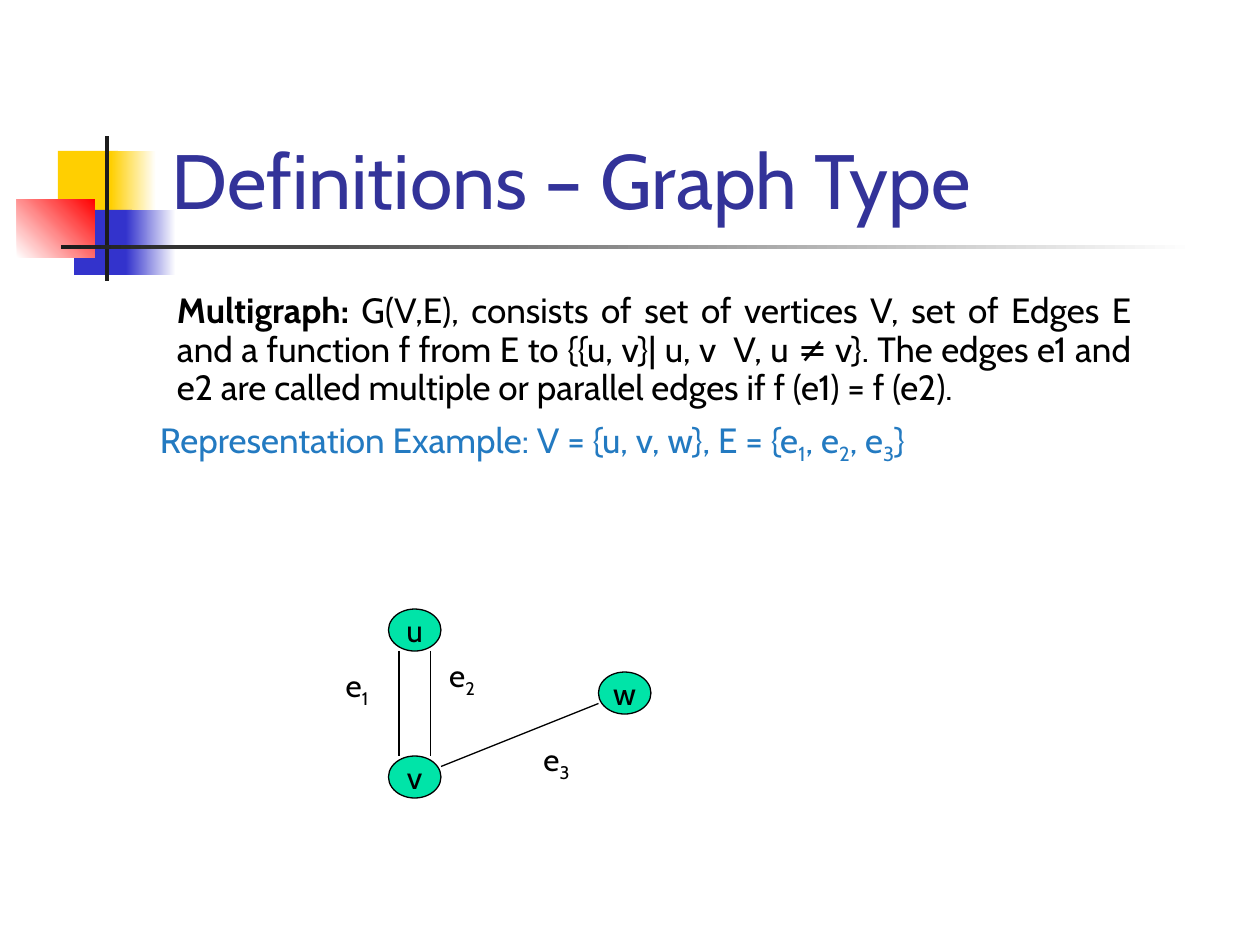
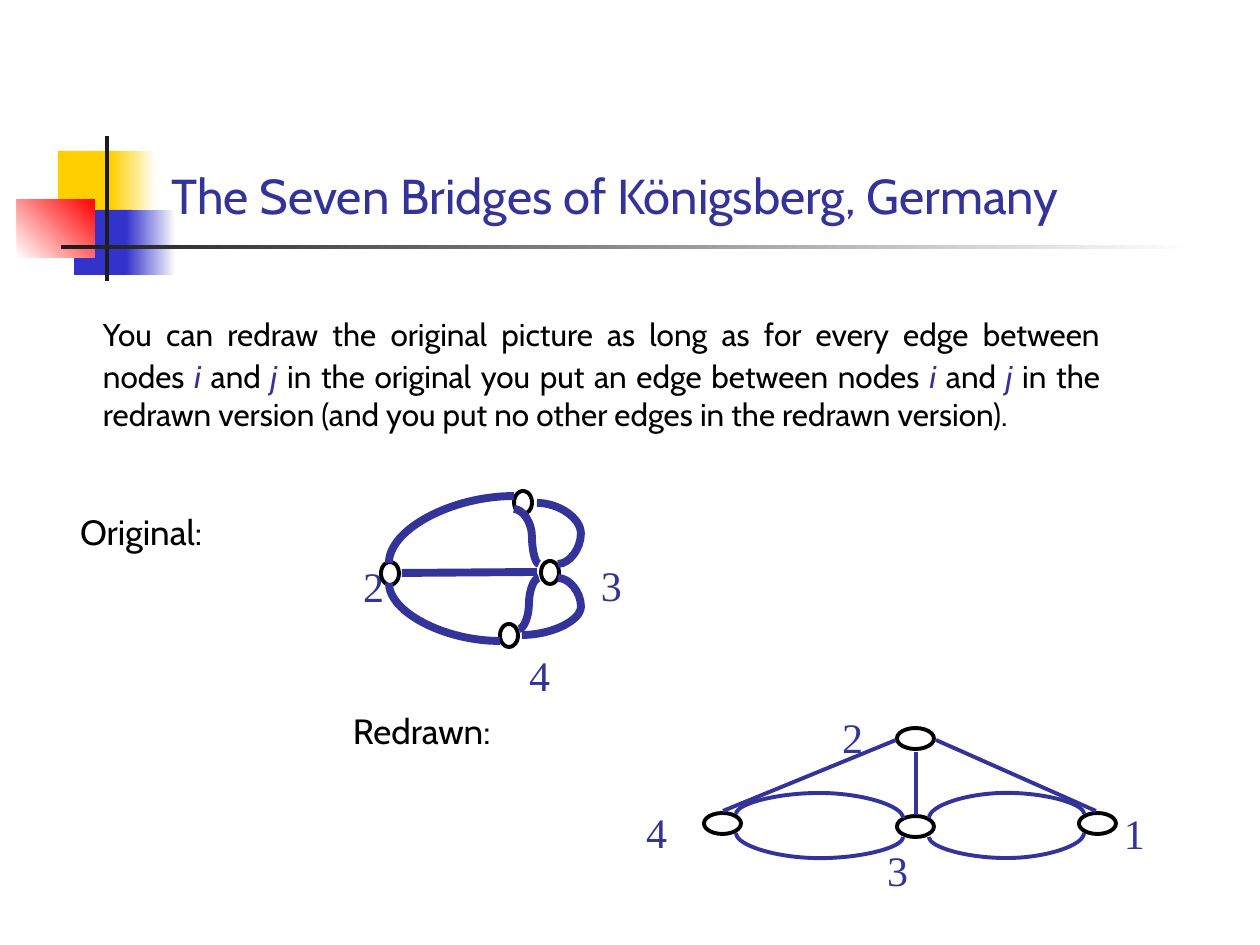
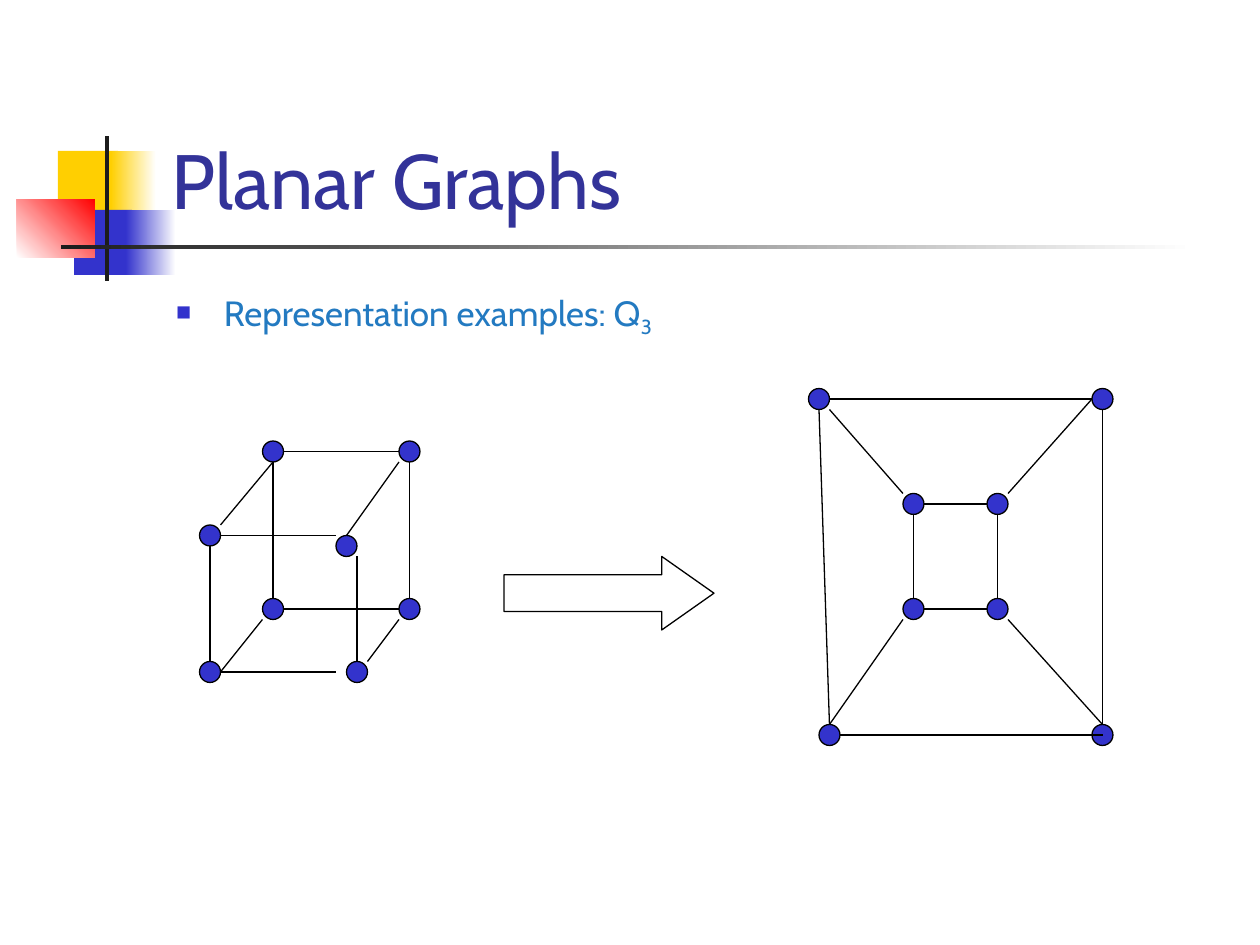
from dataclasses import dataclass
from typing import Any

from lxml import etree
from pptx import Presentation
from pptx import util as u
from pptx.dml.color import RGBColor
from pptx.enum import shapes as kinds, text as t
from pptx.oxml import ns

PX = 914400 / 126
GRID = 10.5
FONT, DIGIT_FONT = "Cabin", "Times New Roman"
NAVY, BLUE, SKY = "333399", "3333CC", "237AC1"
GREEN, YELLOW, RED = "00E4A8", "FFCF01", "FF0000"
BLACK, INK, WHITE = "000000", "1C1C1C", "FFFFFF"
SHAPE, LINK = kinds.MSO_SHAPE, kinds.MSO_CONNECTOR


def px(value):
    """Turn px into EMU."""
    return u.Emu(round(value * PX))


def rgb(code):
    """Turn a hex string into a colour."""
    return RGBColor.from_string(code)


def add_element(parent, tag, **attributes):
    """Append a drawing element with attributes."""
    child = etree.SubElement(parent, ns.qn(tag))
    for name, value in attributes.items():
        child.set(name, value)
    return child


def write(para, content, size=20, color=BLACK, font=FONT, bold=False,
          italic=False, sub=False, marked=None):
    """Write text; parts between asterisks also take the marked format."""
    plain = dict(size=size, color=color, font=font, bold=bold, italic=italic, sub=sub)
    for index, part in enumerate(content.split("*")):
        if not part:
            continue
        style = {**plain, **(marked or {})} if index % 2 else plain
        span = para.add_run()
        span.text = part
        span.font.size = u.Pt(style["size"])
        span.font.name = style["font"]
        span.font.bold, span.font.italic = style["bold"], style["italic"]
        span.font.color.rgb = rgb(style["color"])
        if style["sub"]:
            span._r.get_or_add_rPr().set("baseline", "-25000")


def indent(para, left, first=0):
    """Set the left margin and first-line indent of a paragraph."""
    properties = para._p.get_or_add_pPr()
    properties.set("marL", str(px(left)))
    properties.set("indent", str(px(first)))
    return properties


@dataclass
class Region:
    """A part of a slide whose contents are placed from its top left corner."""
    shapes: Any
    left: float = 0
    top: float = 0
    step: float = 1

    def at(self, x, y):
        """Turn a point of the region into slide EMU."""
        return px((self.left + x) * self.step), px((self.top + y) * self.step)

    def shape(self, kind, x, y, width, height, fill=None, line=None, weight=0.75):
        """Add a preset shape; a pair of fills makes a gradient."""
        shape = self.shapes.add_shape(kind, *self.at(x, y), px(width * self.step),
                                      px(height * self.step))
        shape.shadow.inherit = False
        if isinstance(fill, tuple):
            shape.fill.gradient()
            for stop, color in zip(shape.fill.gradient_stops, fill):
                stop.color.rgb = rgb(color)
            shape.fill.gradient_angle = 0
        elif fill:
            shape.fill.solid()
            shape.fill.fore_color.rgb = rgb(fill)
        else:
            shape.fill.background()
        if line:
            shape.line.color.rgb = rgb(line)
            shape.line.width = u.Pt(weight)
        else:
            shape.line.fill.background()
        return shape

    def caption(self, shape, content):
        """Centre a short caption with subscripts in a shape."""
        frame = shape.text_frame
        frame.word_wrap = False
        frame.vertical_anchor = t.MSO_ANCHOR.MIDDLE
        frame.paragraphs[0].alignment = t.PP_ALIGN.CENTER
        write(frame.paragraphs[0], content, size=18, marked={"sub": True})

    def text(self, x, y, width, height, inset=13, wrap=True):
        """Add an empty text box and return its frame."""
        box = self.shapes.add_textbox(*self.at(x, y), px(width), px(height))
        frame = box.text_frame
        frame.word_wrap = wrap
        frame.margin_left = frame.margin_right = px(inset)
        return frame

    def digit(self, content, x, y):
        """Label a node with a number."""
        frame = self.text(x, y, 97, 63, inset=38, wrap=False)
        write(frame.paragraphs[0], content, size=24, color=NAVY, font=DIGIT_FONT)

    def heading(self, content, x, y, width):
        """Name a drawing."""
        write(self.text(x, y, width, 54, inset=38).paragraphs[0], content)

    def line(self, start, end, color=BLACK, weight=0.75, kind=LINK.STRAIGHT):
        """Join two points."""
        link = self.shapes.add_connector(kind, *self.at(*start), *self.at(*end))
        link.line.color.rgb = rgb(color)
        link.line.width = u.Pt(weight)
        add_element(link.element.spPr, "a:effectLst")
        return link

    def curve(self, start, end, middle=None, upright=False, weight=2.25):
        """Join two points by a curve through a middle x, or a middle y if upright."""
        axis = 1 if upright else 0
        ends = start, end
        if upright:
            cx, cy = ((a + b) / 2 for a, b in zip(*ends))
            ends = [(cx + y - cy, cy - x + cx) for x, y in ends]
        link = self.line(*ends, color=NAVY, weight=weight, kind=LINK.CURVE)
        shape = link.element.spPr
        if upright:
            shape.find(ns.qn("a:xfrm")).set("rot", "5400000")
        outline = shape.find(ns.qn("a:prstGeom"))
        if middle is None:
            outline.set("prst", "curvedConnector2")
            return
        share = (middle - start[axis]) / (end[axis] - start[axis])
        guides = outline.find(ns.qn("a:avLst"))
        if guides is None:
            guides = add_element(outline, "a:avLst")
        add_element(guides, "a:gd", name="adj1", fmla=f"val {round(share * 100000)}")


def decorate(layout, page):
    """Draw the coloured squares and rules and keep them in the layout."""
    region = Region(page.shapes, 17, 136)
    parts = [
        (41, 15, 60, 66, YELLOW),
        (94, 15, 45, 66, (YELLOW, WHITE)),
        (57, 74, 58, 65, BLUE),
        (109, 74, 50, 65, (BLUE, WHITE)),
        (0, 63, 78, 59, (WHITE, RED)),
        (88, 0, 4, 145, INK),
        (44, 109, 1134, 4, (INK, WHITE)),
    ]
    for index, (*place, fill) in enumerate(parts):
        square = region.shape(SHAPE.RECTANGLE, *place, fill=fill)
        if fill == (WHITE, RED):
            square.fill.gradient_angle = 45
        square.element.nvSpPr.cNvPr.set("id", str(100 + index))
        layout.shapes.element.insert(2 + index, square.element)


def add_page(deck, title, size=44):
    """Add a slide with its title."""
    page = deck.slides.add_slide(deck.slide_layouts[5])
    box = page.shapes.title
    box.left, box.top, box.width, box.height = map(px, (159, 29, 1074, 202))
    frame = box.text_frame
    frame.auto_size = t.MSO_AUTO_SIZE.NONE
    frame.vertical_anchor = t.MSO_ANCHOR.BOTTOM
    frame.paragraphs[0].alignment = t.PP_ALIGN.LEFT
    write(frame.paragraphs[0], title, size=size, color=NAVY)
    return page


def multigraph_text(region):
    """Define a multigraph."""
    frame = region.text(0, 0, 1029, 284)
    definition, example = frame.paragraphs[0], frame.add_paragraph()
    for para in (definition, example):
        para.alignment = t.PP_ALIGN.JUSTIFY
        para.line_spacing = 0.9
    indent(definition, 48, -48)
    write(definition, "\t", size=24)
    write(definition, "*Multigraph:* G(V,E), consists of set of vertices V, set of Edges E "
          "and a function f from E to {{u, v}| u, v  V, u ≠ v}. The edges e1 and e2 are "
          "called multiple or parallel edges if f (e1) = f (e2).", marked={"bold": True})
    indent(example, 31)
    example.space_before = u.Pt(6)
    write(example, "Representation Example: V = {u, v, w}, E = {e*1*, e*2*, e*3*}",
          color=SKY, marked={"sub": True})


def multigraph(region):
    """Draw three vertices joined by three edges."""
    for name, x, y in (("u", 5, 0), ("v", 5, 14), ("w", 25, 6)):
        node = region.shape(SHAPE.OVAL, x, y, 5, 4, fill=GREEN, line=BLACK)
        region.caption(node, name)
    for start, end in (((10, 15), (25, 9)), ((6, 4), (6, 14)), ((9, 4), (9, 14))):
        region.line(start, end)
    for name, x, y in (("e*1*", 0, 6), ("e*2*", 10, 5), ("e*3*", 19, 13)):
        label = region.shape(SHAPE.RECTANGLE, x, y, 4, 3, fill=WHITE, line=WHITE)
        region.caption(label, name)


def bridges_text(region):
    """Explain how a graph may be redrawn."""
    para = region.text(0, 0, 1071, 205).paragraphs[0]
    para.alignment = t.PP_ALIGN.JUSTIFY
    indent(para, 48, -48)
    write(para, "\t", size=32)
    write(para, "You can redraw the original picture as long as for every edge between nodes "
          "*i* and *j* in the original you put an edge between nodes *i* and *j* in the "
          "redrawn version (and you put no other edges in the redrawn version).",
          size=18, marked={"color": NAVY, "italic": True})


def river_graph(region):
    """Draw the bridges as they lie across the river."""
    for name, x, y in (("4", 166, 152), ("2", 0, 63), ("3", 238, 62)):
        region.digit(name, x, y)
    for x, y in ((56, 71), (175, 133), (189, 0), (216, 70)):
        region.shape(SHAPE.OVAL, x, y, 18, 23, line=BLACK, weight=2.25)
    region.line((77, 82), (212, 81), color=NAVY, weight=4.5)
    for start, end, middle in (
            ((214, 73), (189, 18), 207), ((197, 144), (233, 87), 256),
            ((233, 73), (212, 12), 256), ((189, 5), (64, 72), None),
            ((175, 150), (64, 92), None), ((214, 87), (194, 138), 204)):
        region.curve(start, end, middle, weight=4.5)


def redrawn_graph(region):
    """Draw the same bridges in a flat arrangement."""
    for x, y in ((289, 23), (96, 108), (471, 108), (289, 111)):
        region.shape(SHAPE.OVAL, x, y, 37, 21, line=BLACK, weight=2.25)
    for start, end in (((288, 35), (115, 106)), ((328, 35), (488, 106)),
                       ((308, 47), (308, 110))):
        region.line(start, end, color=NAVY, weight=2.25)
    for drop, middle in ((0, 88), (19, 153)):
        outer, inner = 109 + drop, 113 + drop
        region.curve((128, outer), (295, inner), middle, upright=True)
        region.curve((321, inner), (476, outer), middle, upright=True)
    for name, x, y in (("2", 196, 0), ("3", 241, 133), ("4", 0, 95), ("1", 478, 96)):
        region.digit(name, x, y)


def planar_text(region):
    """Introduce the cube graph."""
    para = region.text(0, 0, 1071, 68).paragraphs[0]
    properties = indent(para, 48, -48)
    add_element(add_element(properties, "a:buClr"), "a:srgbClr", val=BLUE)
    add_element(properties, "a:buSzPct", val="60000")
    add_element(properties, "a:buChar", char="■")
    write(para, "Representation examples: Q*3*", color=SKY, marked={"sub": True})


def dot_graph(region, dots, edges):
    """Draw equal dots and the edges between them."""
    for x, y in dots:
        region.shape(SHAPE.OVAL, x, y, 2, 2, fill=BLUE, line=BLACK)
    for x1, y1, x2, y2 in edges:
        region.line((x1, y1), (x2, y2))


def cube(region):
    """Draw the cube with crossing edges."""
    dots = [(0, 21), (14, 21), (13, 9), (0, 8), (6, 15), (19, 15), (19, 0), (6, 0)]
    edges = [(8, 1, 19, 1), (8, 16, 19, 16), (7, 2, 7, 15), (20, 2, 20, 15),
             (2, 9, 13, 9), (2, 22, 13, 22), (1, 10, 1, 21), (15, 11, 15, 21),
             (2, 8, 7, 2), (14, 9, 19, 2), (2, 22, 6, 17), (16, 21, 19, 17)]
    dot_graph(region, dots, edges)


def flat_cube(region):
    """Draw the cube without crossing edges."""
    dots = [(0, 0), (27, 0), (9, 20), (1, 32), (17, 10), (9, 10), (27, 32), (17, 20)]
    edges = [(2, 2, 9, 10), (19, 10, 27, 1), (19, 22, 28, 32), (2, 32, 9, 22),
             (11, 11, 17, 11), (11, 21, 17, 21), (10, 12, 10, 20), (18, 12, 18, 20),
             (2, 1, 27, 1), (1, 2, 2, 32), (3, 33, 28, 33), (28, 2, 28, 32)]
    dot_graph(region, dots, edges)


def multigraph_page(deck):
    """Build the slide on multigraphs."""
    page = add_page(deck, "Definitions – Graph Type")
    decorate(deck.slide_layouts[5], page)
    multigraph_text(Region(page.shapes, 116, 281))
    multigraph(Region(page.shapes, 32, 58, GRID))


def bridges_page(deck):
    """Build the slide on the seven bridges."""
    page = add_page(deck, "The Seven Bridges of Königsberg, Germany", size=28)
    whole = Region(page.shapes)
    bridges_text(Region(page.shapes, 42, 284))
    whole.heading("Original:", 42, 504, 271)
    redrawn_graph(Region(page.shapes.add_group_shape().shapes, 608, 705))
    whole.heading("Redrawn:", 315, 703, 297)
    river_graph(Region(page.shapes.add_group_shape().shapes, 325, 491))


def planar_page(deck):
    """Build the slide on planar graphs."""
    page = add_page(deck, "Planar Graphs")
    planar_text(Region(page.shapes, 163, 285))
    flat_cube(Region(page.shapes, 77, 37, GRID))
    cube(Region(page.shapes, 19, 42, GRID))
    arrow = Region(page.shapes, 48, 53, GRID).shape(
        SHAPE.RIGHT_ARROW, 0, 0, 20, 7, fill=WHITE, line=BLACK)
    arrow.adjustments[0], arrow.adjustments[1] = 0.5, 0.71


def main():
    """Build the deck."""
    deck = Presentation()
    deck.slide_width, deck.slide_height = px(1260), px(945)
    multigraph_page(deck)
    bridges_page(deck)
    planar_page(deck)
    deck.save("out.pptx")


if __name__ == "__main__":
    main()
